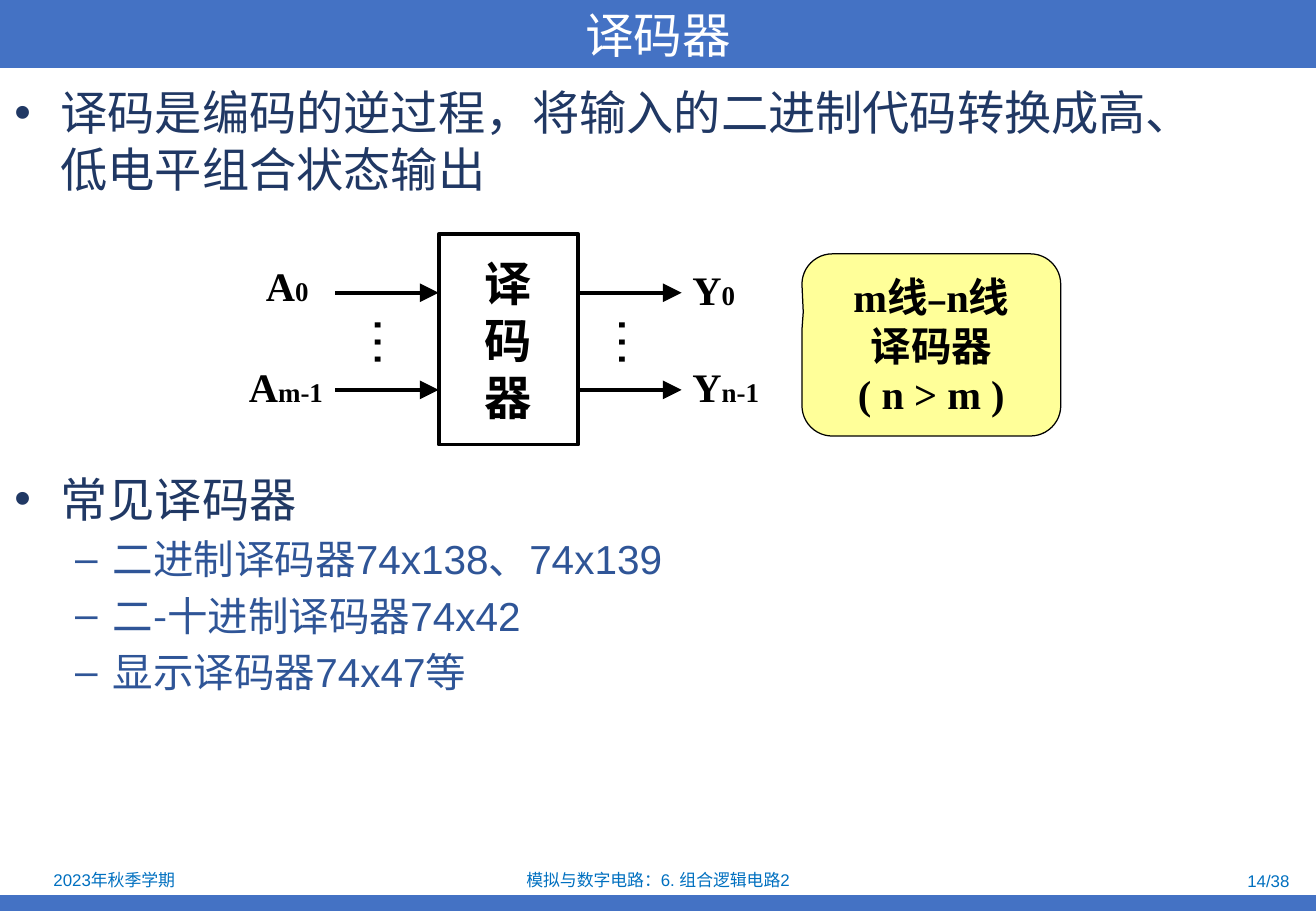
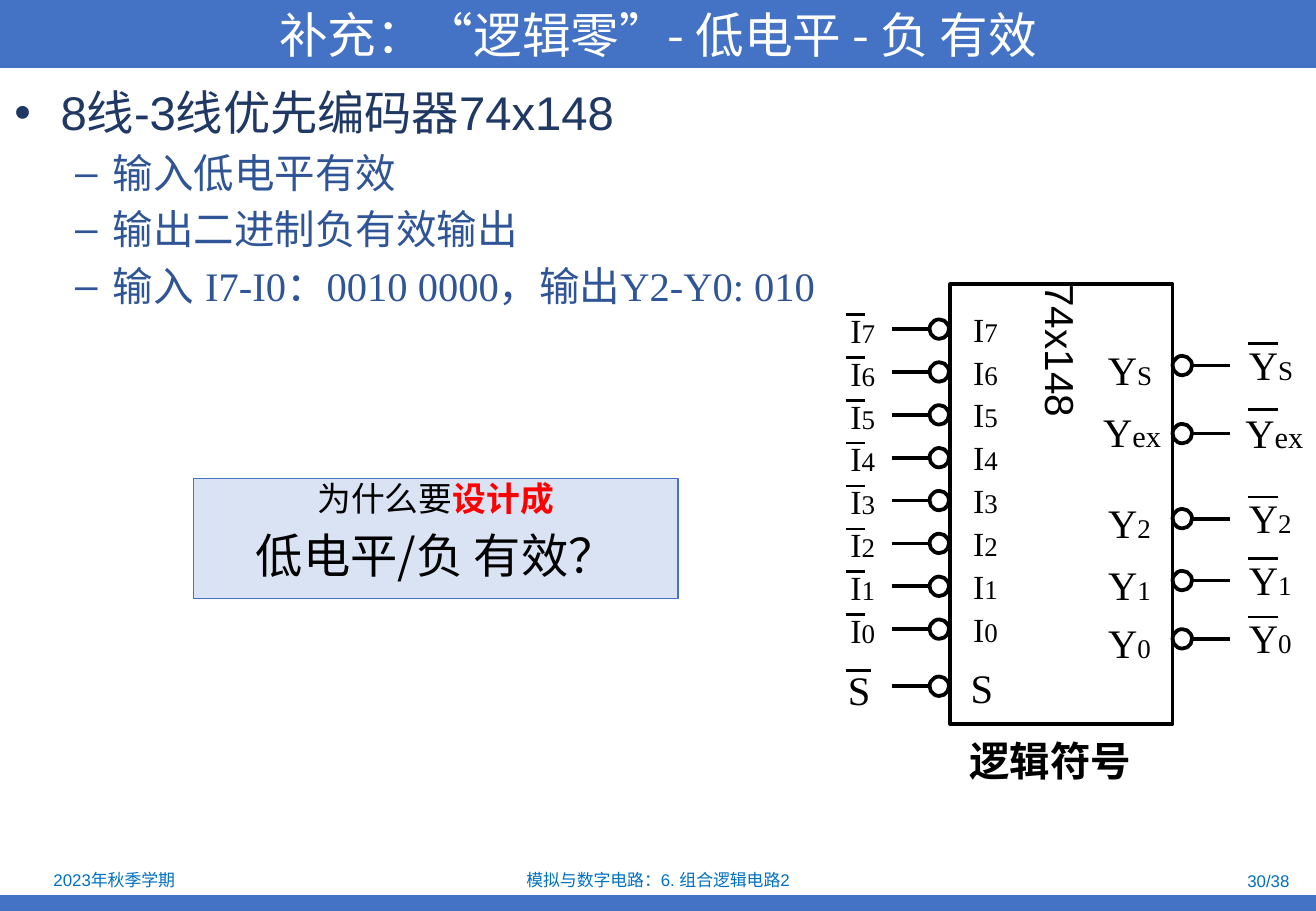
import pptx
import pptx.util
import pptx.dml.color
import pptx.oxml.ns
import pptx.enum.shapes
import pptx.enum.text
from lxml import etree

Inches, Pt = pptx.util.Inches, pptx.util.Pt
qn = pptx.oxml.ns.qn
SHAPE = pptx.enum.shapes.MSO_SHAPE
ALIGN = pptx.enum.text.PP_ALIGN
ANCHOR = pptx.enum.text.MSO_ANCHOR
FIT = pptx.enum.text.MSO_AUTO_SIZE

BLUE, FOOT, NAVY, MID, BLACK = "4472C4", "0070C0", "203864", "2F5597", "000000"
SANS, SERIF, HEI = "Arial", "Times New Roman", "Noto Sans CJK SC"
WIDE, HIGH = 10.83, 7.5
LEVELS = [dict(size=28, color=NAVY, bullet=("•", 0.38, 0.38)),
          dict(size=24, color=MID, bullet=("–", 0.81, 0.31))]


def rgb(code):
    return pptx.dml.color.RGBColor.from_string(code)


def style(run, size, font, color, bold):
    """Format a run; Chinese in serif runs stays sans."""
    run.font.size = Pt(size)
    run.font.bold = bold
    run.font.color.rgb = rgb(color)
    run.font.name = font
    props = run.font._element
    props.set("lang", "zh-CN")
    east = SANS if font == SERIF else font
    etree.SubElement(props, qn("a:ea")).set("typeface", east)


def mark(para, sign, left, hang):
    """Give a paragraph a bullet sign with a hanging indent."""
    props = para._p.get_or_add_pPr()
    props.set("marL", str(Inches(left)))
    props.set("indent", str(-Inches(hang)))
    etree.SubElement(props, qn("a:buFont")).set("typeface", SANS)
    etree.SubElement(props, qn("a:buChar")).set("char", sign)


def write(frame, runs, align=ALIGN.LEFT, bullet=None, before=0, after=0,
          lead=None, **form):
    """Add one paragraph; runs is a string or a list of (text, changes)."""
    para = frame.paragraphs[0]
    if para.runs:
        para = frame.add_paragraph()
        para.space_before = Pt(before)
    if bullet:
        mark(para, *bullet)
    para.alignment = align
    para.space_after = Pt(after)
    if lead:
        para.line_spacing = lead
    base = dict(size=24, font=SANS, color=BLACK, bold=False) | form
    for text, change in [(runs, {})] if isinstance(runs, str) else runs:
        run = para.add_run()
        run.text = text
        style(run, **(base | change))


def setup(frame, anchor=ANCHOR.TOP, wrap=True, pad=None, turn=False, fit=False):
    frame.word_wrap = wrap
    frame.vertical_anchor = anchor
    frame.auto_size = FIT.SHAPE_TO_FIT_TEXT if fit else FIT.NONE
    if pad is not None:
        frame.margin_left = frame.margin_right = Inches(pad)
        frame.margin_top = frame.margin_bottom = 0
    if turn:
        frame._txBody.bodyPr.set("vert", "eaVert")
    return frame


def area(slide, x, y, w, h, **opts):
    box = slide.shapes.add_textbox(Inches(x), Inches(y), Inches(w), Inches(h))
    return setup(box.text_frame, **opts)


def block(slide, kind, x, y, w, h, fill=None, line=None, width=2.25):
    shape = slide.shapes.add_shape(
        kind, Inches(x), Inches(y), Inches(w), Inches(h))
    shape.shadow.inherit = False
    if fill:
        shape.fill.solid()
        shape.fill.fore_color.rgb = rgb(fill)
    else:
        shape.fill.background()
    if line:
        shape.line.color.rgb = rgb(line)
        shape.line.width = Pt(width)
    else:
        shape.line.fill.background()
    return shape


def level(slide, x, y, w, width=2.25, arrow=False):
    """Draw a horizontal line of length w."""
    line = slide.shapes.add_connector(
        pptx.enum.shapes.MSO_CONNECTOR.STRAIGHT,
        Inches(x), Inches(y), Inches(x + w), Inches(y))
    line.line.color.rgb = rgb(BLACK)
    line.line.width = Pt(width)
    if arrow:
        etree.SubElement(line.line._get_or_add_ln(), qn("a:tailEnd"),
                         type="triangle", w="lg", len="lg")
    etree.SubElement(line._element.spPr, qn("a:effectLst"))


def label(slide, x, y, w, h, name, sub, size=24, small=16, bold=False):
    runs = [(name, {})] + ([(sub, dict(size=small))] if sub else [])
    write(area(slide, x, y, w, h, wrap=False, fit=True), runs,
          size=size, font=SERIF, bold=bold)


def page(deck, title, number):
    """Add a slide with the shared title band, footers and bottom band."""
    slide = deck.slides.add_slide(deck.slide_layouts[6])
    block(slide, SHAPE.RECTANGLE, 0, HIGH - 0.13, WIDE, 0.13, BLUE)
    band = block(slide, SHAPE.RECTANGLE, 0, 0, WIDE, 0.56, BLUE)
    write(setup(band.text_frame, ANCHOR.MIDDLE, pad=0.1), title, ALIGN.CENTER,
          size=28.8, font=HEI, color="FFFFFF")
    for x, y, w, align, text in [
            (0.02, 7.13, 1.84, ALIGN.CENTER, "2023年秋季学期"),
            (3.7, 7.13, 3.43, ALIGN.CENTER, "模拟与数字电路：6. 组合逻辑电路2"),
            (8.18, 7.14, 2.53, ALIGN.RIGHT, number)]:
        write(area(slide, x, y, w, 0.23, anchor=ANCHOR.MIDDLE), text, align,
              size=10, color=FOOT)
    return slide


def points(slide, x, y, w, h, items):
    """Write a bulleted list of (depth, runs, changes)."""
    frame = area(slide, x, y, w, h)
    for depth, runs, change in items:
        write(frame, runs, before=4.6, **(LEVELS[depth] | change))


def coder(slide, x, y):
    """Draw the decoder block with its arrows and labels."""
    wide, tall = 1.15, 1.73
    body = block(slide, SHAPE.RECTANGLE, x, y, wide, tall, line=BLACK)
    frame = setup(body.text_frame, ANCHOR.MIDDLE, wrap=False, pad=0.1)
    for sign in "译码器":
        write(frame, sign, ALIGN.CENTER, size=28, bold=True)
    for left in (x - 0.61, x + 1.4):
        dots = area(slide, left, y + 0.67, 0.53, 0.44, wrap=False, pad=0,
                    turn=True, fit=True)
        write(dots, "…", ALIGN.CENTER, size=32)
    for drop, ins, outs in [(0.48, ("0", 1.52, 0.55, 0.31), ("0", 0.55, 0.28)),
                            (1.28, ("m-1", 1.66, 0.81, 0.28),
                             ("n-1", 0.75, 0.28))]:
        for left in (x - 0.85, x + wide):
            level(slide, left, y + drop, 0.85, arrow=True)
        sub, back, w, lift = ins
        label(slide, x - back, y + drop - lift, w, 0.5, "A", sub, bold=True)
        sub, w, lift = outs
        label(slide, x + 1.99, y + drop - lift, w, 0.5, "Y", sub, bold=True)


def callout(slide, x, y, w, h):
    note = block(slide, SHAPE.ROUNDED_RECTANGULAR_CALLOUT, x, y, w, h,
                 "FFFF99", BLACK, 0.75)
    for i, value in enumerate((-0.495, -0.181, 0.167)):
        note.adjustments[i] = value
    frame = setup(note.text_frame, ANCHOR.MIDDLE, wrap=False)
    dash = ("–", dict(size=20, font=SANS))
    for runs in ([("m线", {}), dash, ("n线", {})], "译码器", "( n > m )"):
        write(frame, runs, ALIGN.CENTER, font=SERIF, bold=True)


def pin(slide, x, y, bubble, wire, inner, outer, bar, text):
    """Draw one inverted pin; pairs are offsets from the chip edge at (x, y)."""
    block(slide, SHAPE.OVAL, x + bubble, y - 0.08, 0.16, 0.16, line=BLACK)
    level(slide, x + wire, y, 0.31)
    for dx, dy in (inner, outer):
        label(slide, x + dx, y + dy, **text)
    dx, dy, w = bar
    level(slide, x + dx, y + dy, w, 1.5)


def chip(slide, x, y):
    """Draw the 74x148 symbol with its pins and caption."""
    wide, tall = 1.83, 3.62
    body = block(slide, SHAPE.RECTANGLE, x, y, wide, tall, line=BLACK)
    write(setup(body.text_frame, ANCHOR.MIDDLE, pad=0, turn=True),
          "74x148", ALIGN.CENTER)
    for i in range(8):
        pin(slide, x, y + 0.37 + 2.47 * i / 7, -0.17, -0.48,
            (0.09, -0.22), (-0.92, -0.21), (-0.86, -0.12, 0.16),
            dict(w=0.4, h=0.43, name="I", sub=str(7 - i), size=20))
    pin(slide, x, y + 3.31, -0.17, -0.48,
        (0.07, -0.24), (-0.94, -0.22), (-0.86, -0.13, 0.21),
        dict(w=0.39, h=0.5, name="S", sub=""))
    for sub, drop, w in [("S", 0.67, 0.57), ("ex", 1.23, 0.68),
                         ("2", 1.93, 0.55), ("1", 2.44, 0.55),
                         ("0", 2.92, 0.55)]:
        long = sub == "ex"
        pin(slide, x + wide, y + drop, 0, 0.16,
            (-0.67, -0.27) if long else (-0.63, -0.22),
            (0.5, -0.26) if long else (0.53, -0.26),
            (0.62, -0.2 if long else -0.18, 0.25),
            dict(w=w, h=0.5, name="Y", sub=sub, small=18 if long else 16))
    write(area(slide, x + 0.06, y + tall + 0.05, 1.54, 0.5, wrap=False,
               fit=True), "逻辑符号", bold=True)


def query(slide, x, y, w, h):
    box = block(slide, SHAPE.RECTANGLE, x, y, w, h, "DAE3F3", BLUE, 0.75)
    frame = setup(box.text_frame)
    form = dict(align=ALIGN.CENTER, font=HEI, lead=0.83)
    hot = ("设计成", dict(color="FF0000", bold=True))
    write(frame, [("为什么要", {}), hot], size=20, after=10.6, **form)
    write(frame, "低电平/负 有效？", size=28, **form)


def main():
    deck = pptx.Presentation()
    deck.slide_width, deck.slide_height = Inches(WIDE), Inches(HIGH)

    slide = page(deck, "译码器", "14/38")
    points(slide, 0.02, 0.64, 9.82, 1.1, [
        (0, "译码是编码的逆过程，将输入的二进制代码转换成高、低电平组合状态输出", {})])
    points(slide, 0.02, 3.82, 9.82, 2, [
        (0, "常见译码器", {}),
        (1, "二进制译码器74x138、74x139", {}),
        (1, [("二", {}), ("-", dict(font="Noto Sans CJK KR")),
             ("十进制译码器74x42", {})], {}),
        (1, "显示译码器74x47等", {})])
    coder(slide, 3.61, 1.93)
    callout(slide, 6.6, 2.09, 2.13, 1.5)

    slide = page(deck, "补充：“逻辑零”- 低电平 - 负 有效", "30/38")
    points(slide, 0.02, 0.64, 10.81, 2, [
        (0, "8线-3线优先编码器74x148", {}),
        (1, "输入低电平有效", {}),
        (1, [("输出", {}), ("二进制负有效输出", dict(font=SERIF))], {}),
        (1, "输入 I7-I0：0010 0000，输出Y2-Y0: 010", dict(font=SERIF))])
    chip(slide, 7.82, 2.34)
    query(slide, 1.59, 3.94, 3.99, 0.99)

    deck.save("out.pptx")


if __name__ == "__main__":
    main()
